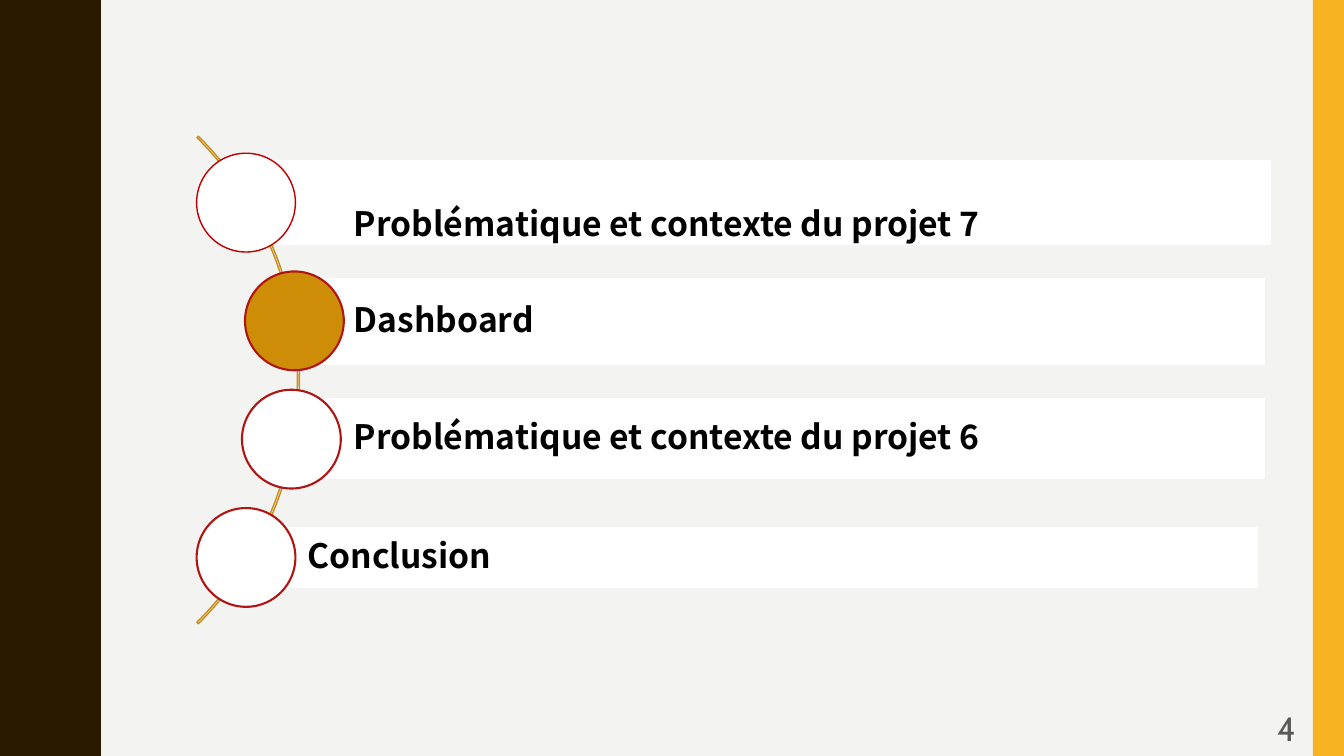
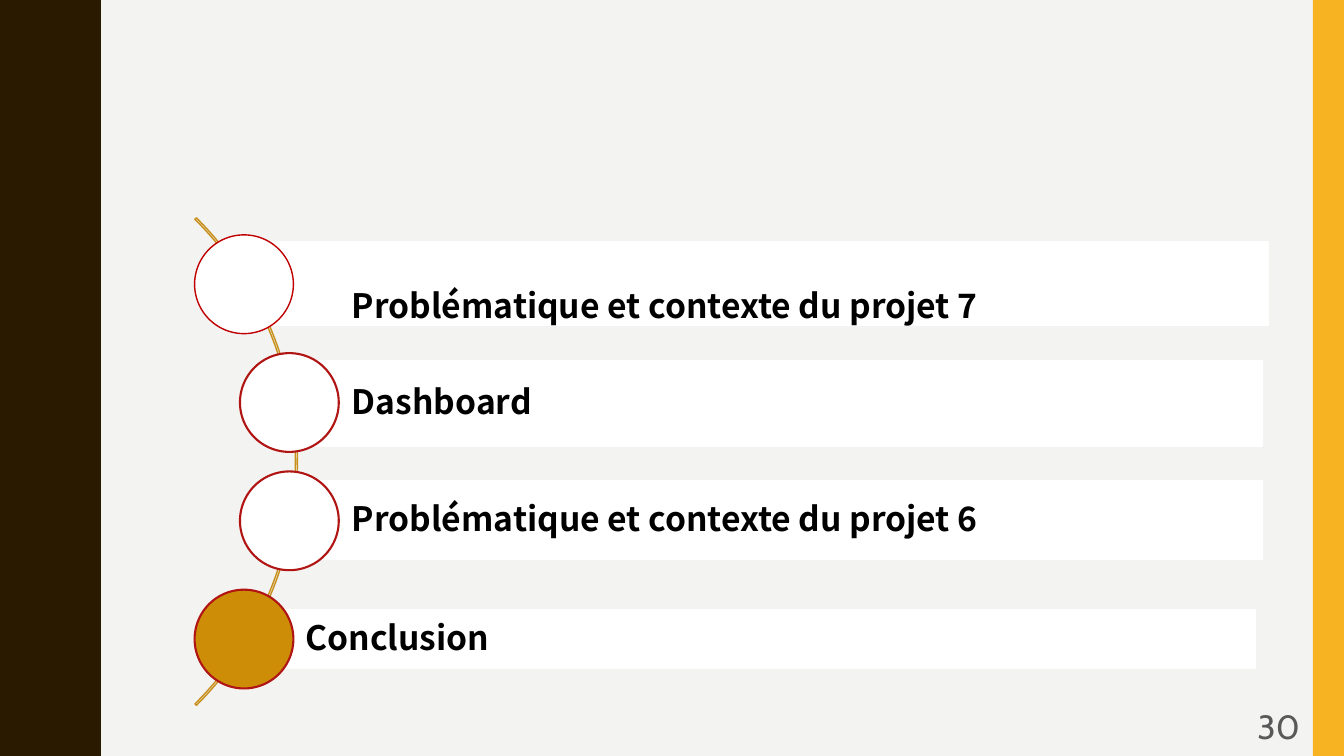
from pptx import Presentation
from pptx.dml.color import RGBColor
from pptx.enum import shapes as kinds, text as txt
from pptx.util import Inches, Pt

PAPER = RGBColor(0xF3, 0xF3, 0xF2)
BROWN = RGBColor(0x2A, 0x1A, 0x00)
YELLOW = RGBColor(0xF8, 0xB3, 0x23)
GOLD = RGBColor(0xC7, 0x8F, 0x1C)
OCHRE = RGBColor(0xCE, 0x8D, 0x07)
WHITE = RGBColor(0xFF, 0xFF, 0xFF)
BLACK = RGBColor(0x00, 0x00, 0x00)
GREY = RGBColor(0x59, 0x59, 0x59)
RED = RGBColor(0xC0, 0x00, 0x00)
CRIMSON = RGBColor(0xB0, 0x15, 0x13)

WIDTH, HEIGHT = 13.33, 7.5
WAVE = 1.5
# Half a wave, from trough to crest
HALF = [(0.78, 0), (0.78, 0.07), (0.79, 0.14), (0.8, 0.2), (0.81, 0.25),
        (0.83, 0.29), (0.85, 0.33), (0.87, 0.38), (0.89, 0.42), (0.91, 0.46),
        (0.93, 0.5), (0.95, 0.55), (0.96, 0.61), (0.97, 0.68), (0.97, 0.75)]

DOT = 0.98
FIRST, LAST = 1.52, 5.04
MIDDLE, BOTTOM = txt.MSO_ANCHOR.MIDDLE, txt.MSO_ANCHOR.BOTTOM
# Label, bar box, text inset, anchor, dot left, dot line colour, line width
ROWS = [
    ("Problématique et contexte du projet 7", (2.38, 1.59, 10.22, 0.83),
     1.13, BOTTOM, 1.95, RED, 1),
    ("Dashboard", (2.89, 2.77, 9.65, 0.84), 0.62, MIDDLE, 2.4, CRIMSON, 1.5),
    ("Problématique et contexte du projet 6", (2.89, 3.96, 9.65, 0.78),
     0.62, MIDDLE, 2.4, CRIMSON, 1.5),
    ("Conclusion", (2.43, 5.24, 10.04, 0.58), 0.62, MIDDLE, 1.95, CRIMSON, 1.5),
]


def paint(shape, fill, line=None, width=1):
    shape.shadow.inherit = False
    if fill is None:
        shape.fill.background()
    else:
        shape.fill.solid()
        shape.fill.fore_color.rgb = fill
    if line is None:
        shape.line.fill.background()
    else:
        shape.line.color.rgb = line
        shape.line.width = Pt(width)


def add(slide, kind, box, *style):
    shape = slide.shapes.add_shape(kind, *map(Inches, box))
    paint(shape, *style)
    return shape


def write(shape, words, font, color, bold=False):
    """Fill a shape with one line of text and return its paragraph."""
    para = shape.text_frame.paragraphs[0]
    para.text = words
    para.font.name, para.font.size = font, Pt(24)
    para.font.color.rgb, para.font.bold = color, bold
    return para


def add_wave(slide):
    edge = []
    for n in range(int(HEIGHT / WAVE)):
        edge += [(x, n * WAVE + y) for x, y in HALF]
        edge += [(x, (n + 1) * WAVE - y) for x, y in HALF[::-1]]
    pen = slide.shapes.build_freeform(0, 0, scale=Inches(1))
    pen.add_line_segments(edge + [(0, HEIGHT)], close=True)
    wave = pen.convert_to_shape()
    paint(wave, BROWN)
    return wave


def dress(master, slide):
    """Move the side bands, drawn on a slide, to the master."""
    master.background.fill.solid()
    master.background.fill.fore_color.rgb = PAPER
    bands = [add_wave(slide),
             add(slide, kinds.MSO_SHAPE.RECTANGLE, (13.02, 0, 0.31, HEIGHT), YELLOW)]
    for num, band in enumerate(bands, 20):
        band.element.nvSpPr.cNvPr.id = num
        master.shapes.element.append(band.element)


def add_arc(slide, dx, dy):
    arc = add(slide, kinds.MSO_SHAPE.BLOCK_ARC,
              (dx - 3.87, dy + 0.35, 6.84, 6.84), None, GOLD)
    for i, value in enumerate((189, 27, 0.003)):
        arc.adjustments[i] = value


def add_bar(slide, label, box, inset, anchor, width):
    bar = add(slide, kinds.MSO_SHAPE.RECTANGLE, box, WHITE, WHITE, width)
    frame = bar.text_frame
    frame.word_wrap = True
    frame.vertical_anchor = anchor
    frame.margin_left = Inches(inset)
    frame.margin_top = frame.margin_bottom = 0
    para = write(bar, label, "Noto Sans CJK JP", BLACK, True)
    para.alignment = txt.PP_ALIGN.LEFT
    para.line_spacing = 0.9


def add_agenda(slide, active, dx=0, dy=0, nudge=0):
    """Draw the arc and its rows; the active dot is filled and nudged right."""
    add_arc(slide, dx, dy)
    step = (LAST - FIRST) / (len(ROWS) - 1)
    for i, (label, box, inset, anchor, left, line, width) in enumerate(ROWS):
        x, y, w, h = box
        add_bar(slide, label, (x + dx, y + dy, w, h), inset, anchor, width)
        on = i == active
        spot = (left + dx + on * nudge, FIRST + i * step + dy, DOT, DOT)
        add(slide, kinds.MSO_SHAPE.OVAL, spot, OCHRE if on else WHITE, line, width)


def add_number(slide, number, left, top):
    box = slide.shapes.add_textbox(*map(Inches, (left, top, 3.08, 0.38)))
    box.text_frame.word_wrap = True
    box.text_frame.vertical_anchor = MIDDLE
    write(box, number, "Cabin", GREY).alignment = txt.PP_ALIGN.RIGHT


def main():
    prs = Presentation()
    prs.slide_width, prs.slide_height = Inches(WIDTH), Inches(HEIGHT)
    blank = prs.slide_layouts[6]

    dash = prs.slides.add_slide(blank)
    dress(prs.slide_master, dash)
    add_agenda(dash, 1, nudge=0.03)
    add_number(dash, "4", 9.87, 7.03)

    end = prs.slides.add_slide(blank)
    add_agenda(end, 3, dx=-0.02, dy=0.81)
    add_number(end, "30", 9.91, 7.01)
    prs.save("out.pptx")


if __name__ == "__main__":
    main()
